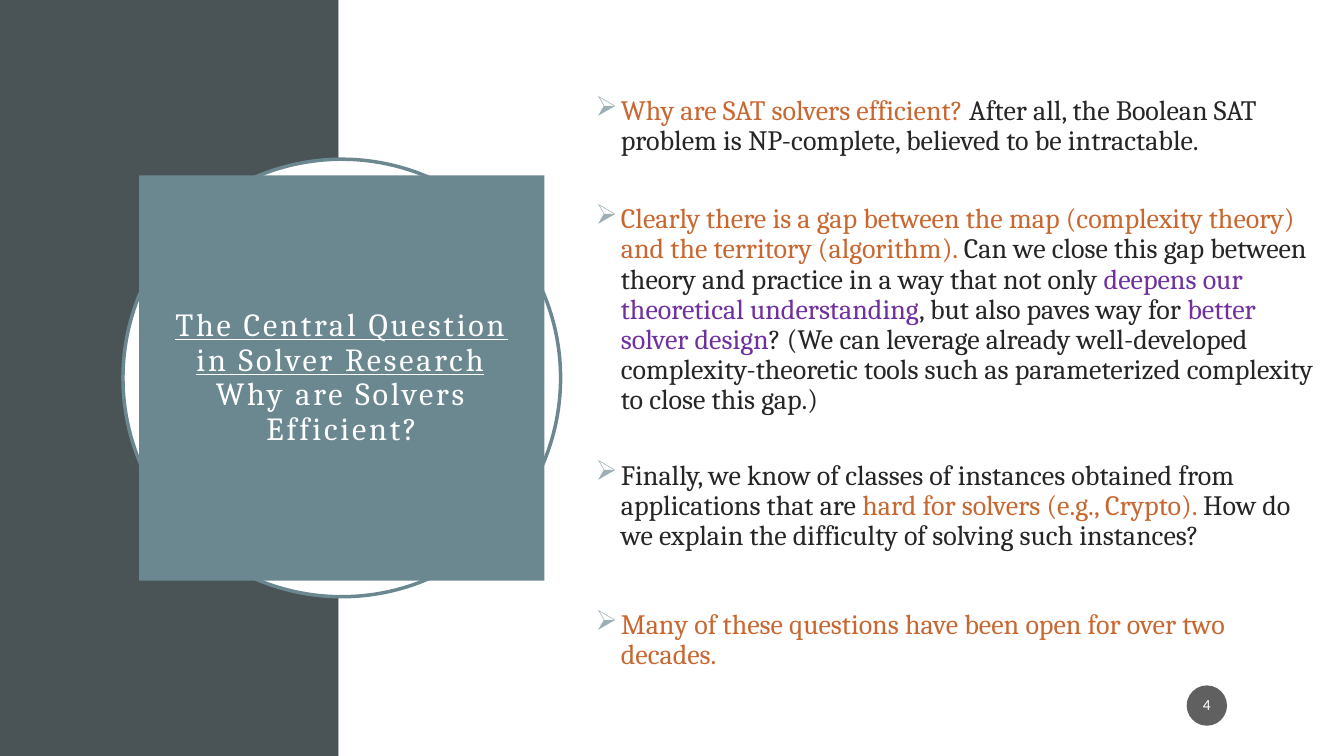
from lxml.etree import SubElement
from pptx import Presentation
from pptx.dml.color import RGBColor
from pptx.enum.shapes import MSO_SHAPE
from pptx.enum.text import MSO_ANCHOR, MSO_AUTO_SIZE, PP_ALIGN
from pptx.oxml.ns import qn
from pptx.util import Inches, Pt

WIDE, HIGH = 13.33, 7.5
SLATE, TEAL, WHITE = "4A5356", "6B8891", "FFFFFF"
RUST, INK, PURPLE, MIST = "C96731", "262626", "7030A0", "9BAFB5"

# Each point: space before, then its coloured runs
POINTS = [
    (0, [("Why are SAT solvers efficient? ", RUST),
         ("After all, the Boolean SAT problem is NP-complete, "
          "believed to be intractable.", INK)]),
    (34, [("Clearly there is a gap between the map (complexity theory) "
           "and the territory (algorithm). ", RUST),
          ("Can we close this gap between theory and practice in a way "
           "that not only ", INK),
          ("deepens our theoretical understanding", PURPLE),
          (", but also paves way for ", INK),
          ("better solver design", PURPLE),
          ("? (We can leverage already well-developed complexity-theoretic "
           "tools such as parameterized complexity to close this gap.)", INK)]),
    (32, [("Finally, we know of classes of instances obtained from "
           "applications that are ", INK),
          ("hard for solvers (e.g., Crypto). ", RUST),
          ("How do we explain the difficulty of solving such instances?", INK)]),
    (42, [("Many of these questions have been open for over two decades.", RUST)]),
]


def color(code):
    return RGBColor.from_string(code)


def place(shape, box):
    shape.left, shape.top, shape.width, shape.height = map(Inches, box)


def draw(slide, kind, box, fill, edge=None):
    shape = slide.shapes.add_shape(kind, *map(Inches, box))
    shape.shadow.inherit = False
    shape.fill.solid()
    shape.fill.fore_color.rgb = color(fill)
    if edge:
        shape.line.color.rgb = color(edge)
        shape.line.width = Pt(2.5)
    else:
        shape.line.fill.background()
    return shape


def set_frame(frame, side, end):
    frame.word_wrap = True
    frame.auto_size = MSO_AUTO_SIZE.NONE
    frame.vertical_anchor = MSO_ANCHOR.MIDDLE
    frame.margin_left = frame.margin_right = Inches(side)
    frame.margin_top = frame.margin_bottom = Inches(end)


def set_font(para, name, size, code=None):
    para.line_spacing = 0.9
    para.font.name = name
    para.font.size = Pt(size)
    if code:
        para.font.color.rgb = color(code)


def add_panels(slide, split):
    draw(slide, MSO_SHAPE.RECTANGLE, (0, 0, split, HIGH), SLATE)
    draw(slide, MSO_SHAPE.RECTANGLE, (split, 0, WIDE - split, HIGH), WHITE)


def add_title(slide, box):
    # Ring, with the title square centred on it
    left, top, size, _ = box
    draw(slide, MSO_SHAPE.OVAL, box, WHITE, TEAL)
    gap = 0.16
    title = slide.shapes.title
    place(title, (left + gap, top + gap, size - 2 * gap, size - 2 * gap))
    slide.shapes._spTree.append(title._element)
    title.fill.solid()
    title.fill.fore_color.rgb = color(TEAL)
    set_frame(title.text_frame, 0.2, 0.2)
    para = title.text_frame.paragraphs[0]
    para.alignment = PP_ALIGN.CENTER
    set_font(para, "Cambria", 23, WHITE)
    lines = ("The Central Question in Solver Research", "Why are Solvers Efficient?")
    for row, text in enumerate(lines):
        if row:
            para.add_line_break()
        run = para.add_run()
        run.text = text
        run.font.underline = row == 0
        run._r.get_or_add_rPr().set("spc", "200")


def add_bullet(para):
    props = para._p.get_or_add_pPr()
    props.set("marL", str(Inches(0.25)))
    props.set("indent", str(-Inches(0.25)))
    tint = SubElement(props, qn("a:buClr"))
    SubElement(tint, qn("a:srgbClr"), val=MIST)
    SubElement(props, qn("a:buChar"), char="➢")


def add_points(slide, box):
    frame = slide.shapes.add_textbox(*map(Inches, box)).text_frame
    set_frame(frame, 0.1, 0.05)
    for row, (space, runs) in enumerate(POINTS):
        para = frame.add_paragraph() if row else frame.paragraphs[0]
        add_bullet(para)
        para.space_before = Pt(space)
        set_font(para, "Cambria", 20)
        for text, code in runs:
            run = para.add_run()
            run.text = text
            run.font.color.rgb = color(code)


def add_number(slide, box):
    badge = draw(slide, MSO_SHAPE.OVAL, box, "1D1D1D")
    tint = badge._element.spPr.find(qn("a:solidFill"))[0]
    SubElement(tint, qn("a:alpha"), val="70000")
    set_frame(badge.text_frame, 0.02, 0.05)
    para = badge.text_frame.paragraphs[0]
    para.text = "4"
    para.alignment = PP_ALIGN.CENTER
    set_font(para, "Calibri", 11, WHITE)


def main():
    deck = Presentation()
    deck.slide_width, deck.slide_height = Inches(WIDE), Inches(HIGH)
    slide = deck.slides.add_slide(deck.slide_layouts[5])
    add_panels(slide, 3.36)
    add_title(slide, (1.22, 1.58, 4.34, 4.34))
    add_points(slide, (5.81, 0.11, 7.33, 7.39))
    add_number(slide, (11.77, 6.8, 0.4, 0.4))
    deck.save("out.pptx")


if __name__ == "__main__":
    main()
